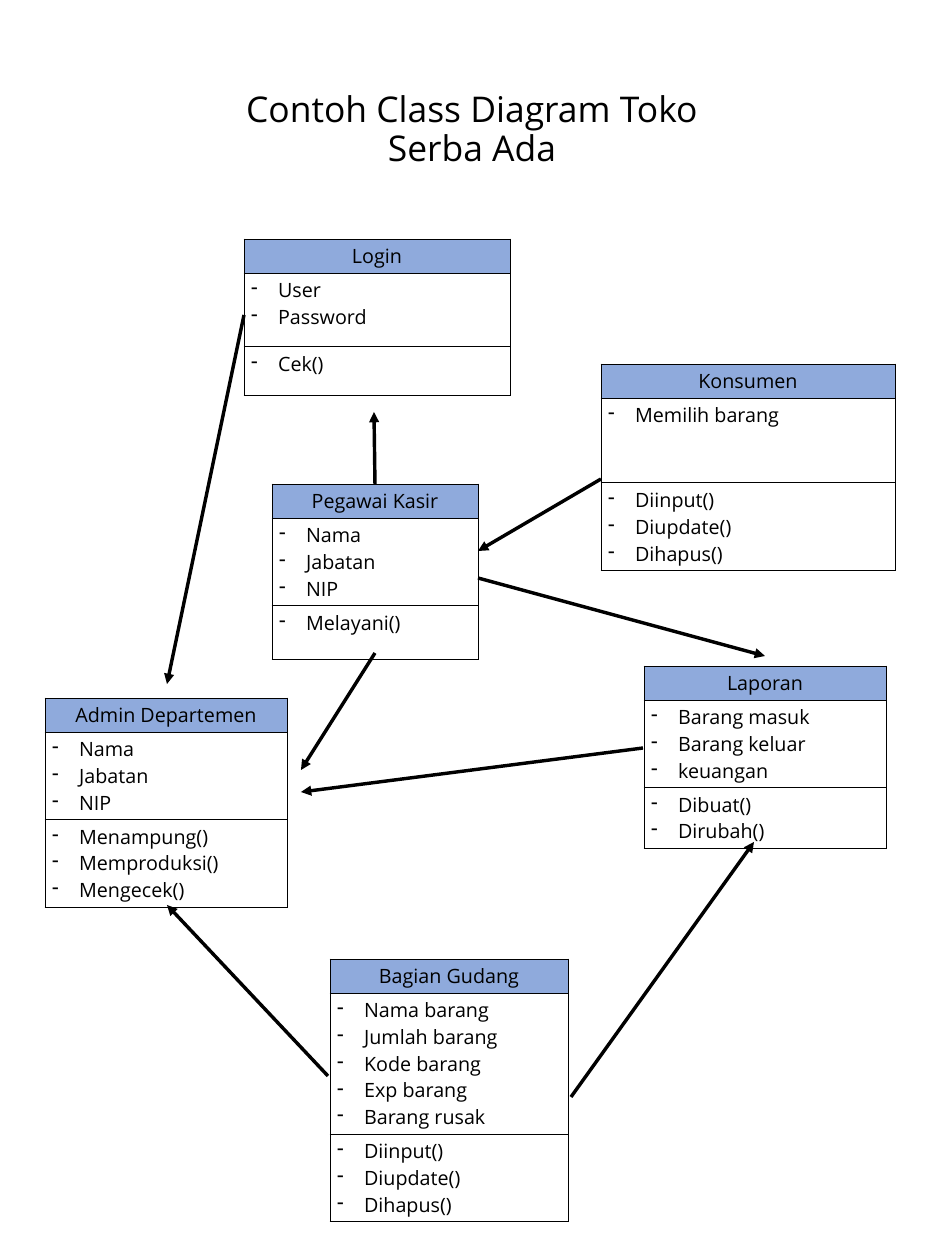
from lxml import etree
from pptx import Presentation
from pptx.dml.color import RGBColor
from pptx.enum import shapes, text
from pptx.oxml import ns
from pptx.util import Pt

PX = 12900
SIZE = (945, 1260)
COLORS = {"ink": "000000", "header": "8FAADC"}
FONT = "Open Sans"
INDENT = 27
TITLE = ("Contoh Class Diagram Toko Serba Ada", (223, 84, 498, 93))

CLASSES = [
    ("Admin Departemen", (45, 698, 242), (25, 64, 64),
     ["Nama", "Jabatan", "NIP"],
     ["Menampung()", "Memproduksi()", "Mengecek()"]),
    ("Pegawai Kasir", (272, 484, 206), (32, 82, 54),
     ["Nama", "Jabatan", "NIP"], ["Melayani()"]),
    ("Login", (244, 239, 266), (28, 74, 49),
     ["User", "Password"], ["Cek()"]),
    ("Laporan", (644, 666, 242), (29, 74, 50),
     ["Barang masuk", "Barang keluar", "keuangan"],
     ["Dibuat()", "Dirubah()"]),
    ("Bagian Gudang", (330, 959, 238), (27, 104, 65),
     ["Nama barang", "Jumlah barang", "Kode barang", "Exp barang",
      "Barang rusak"],
     ["Diinput()", "Diupdate()", "Dihapus()"]),
    ("Konsumen", (601, 364, 294), (33, 85, 56),
     ["Memilih barang"], ["Diinput()", "Diupdate()", "Dihapus()"]),
]

ARROWS = [
    ((601, 479), (478, 551)),
    ((375, 484), (374, 412)),
    ((244, 315), (167, 684)),
    ((571, 1097), (754, 842)),
    ((328, 1076), (167, 905)),
    ((478, 578), (765, 656)),
    ((643, 748), (301, 792)),
    ((375, 653), (301, 770)),
]


def px(*values):
    return [v * PX for v in values]


def color(name):
    return RGBColor.from_string(COLORS[name])


def add(parent, tag, **attrs):
    return etree.SubElement(parent, ns.qn(tag), attrs)


def write(tf, lines, size, align=None, spacing=None, bullet=False):
    for i, line in enumerate(lines):
        p = tf.paragraphs[0] if i == 0 else tf.add_paragraph()
        for key, value in {"alignment": align, "line_spacing": spacing}.items():
            setattr(p, key, value)
        if bullet:
            props = p._p.get_or_add_pPr()
            props.set("marL", str(INDENT * PX))
            props.set("indent", str(-INDENT * PX))
            add(props, "a:buChar", char="-")
        r = p.add_run()
        r.text = line
        for key, value in {"size": Pt(size), "name": FONT, "bold": False}.items():
            setattr(r.font, key, value)
        r.font.color.rgb = color("ink")


def add_borders(cell):
    props = cell._tc.get_or_add_tcPr()
    for side in "LRTB":
        ln = add(props, "a:ln" + side, w=str(Pt(1)))
        add(add(ln, "a:solidFill"), "a:srgbClr", val=COLORS["ink"])


def add_class(sl, name, place, heights, attributes, methods):
    x, y, w = place
    frame = sl.shapes.add_table(3, 1, *px(x, y, w, sum(heights)))
    table = frame.table
    for key in ("first_row", "horz_banding"):
        setattr(table, key, False)
    for i, lines in enumerate(([name], attributes, methods)):
        table.rows[i].height = heights[i] * PX
        cell = table.cell(i, 0)
        add_borders(cell)
        if i == 0:
            cell.fill.solid()
            cell.fill.fore_color.rgb = color("header")
            write(cell.text_frame, lines, 20, text.PP_ALIGN.CENTER)
        else:
            cell.fill.background()
            write(cell.text_frame, lines, 20, bullet=True)


def add_arrow(sl, start, end):
    sp = sl.shapes.add_connector(shapes.MSO_CONNECTOR.STRAIGHT, *px(*start, *end))
    sp.line.width = Pt(3.5)
    sp.line.color.rgb = color("ink")
    add(sp.line._get_or_add_ln(), "a:tailEnd", type="triangle")
    add(sp._element.spPr, "a:effectLst")


def add_title(sl, title, box):
    tf = sl.shapes.add_textbox(*px(*box)).text_frame
    form = {"word_wrap": True, "vertical_anchor": text.MSO_ANCHOR.MIDDLE,
            "auto_size": text.MSO_AUTO_SIZE.SHAPE_TO_FIT_TEXT}
    for key, value in form.items():
        setattr(tf, key, value)
    write(tf, [title], 36, text.PP_ALIGN.CENTER, 0.9)


def main():
    """Build the class diagram of a general store."""
    prs = Presentation()
    prs.slide_width, prs.slide_height = px(*SIZE)
    sl = prs.slides.add_slide(prs.slide_layouts[6])
    for item in CLASSES:
        add_class(sl, *item)
    for ends in ARROWS:
        add_arrow(sl, *ends)
    add_title(sl, *TITLE)
    prs.save("out.pptx")


main()
